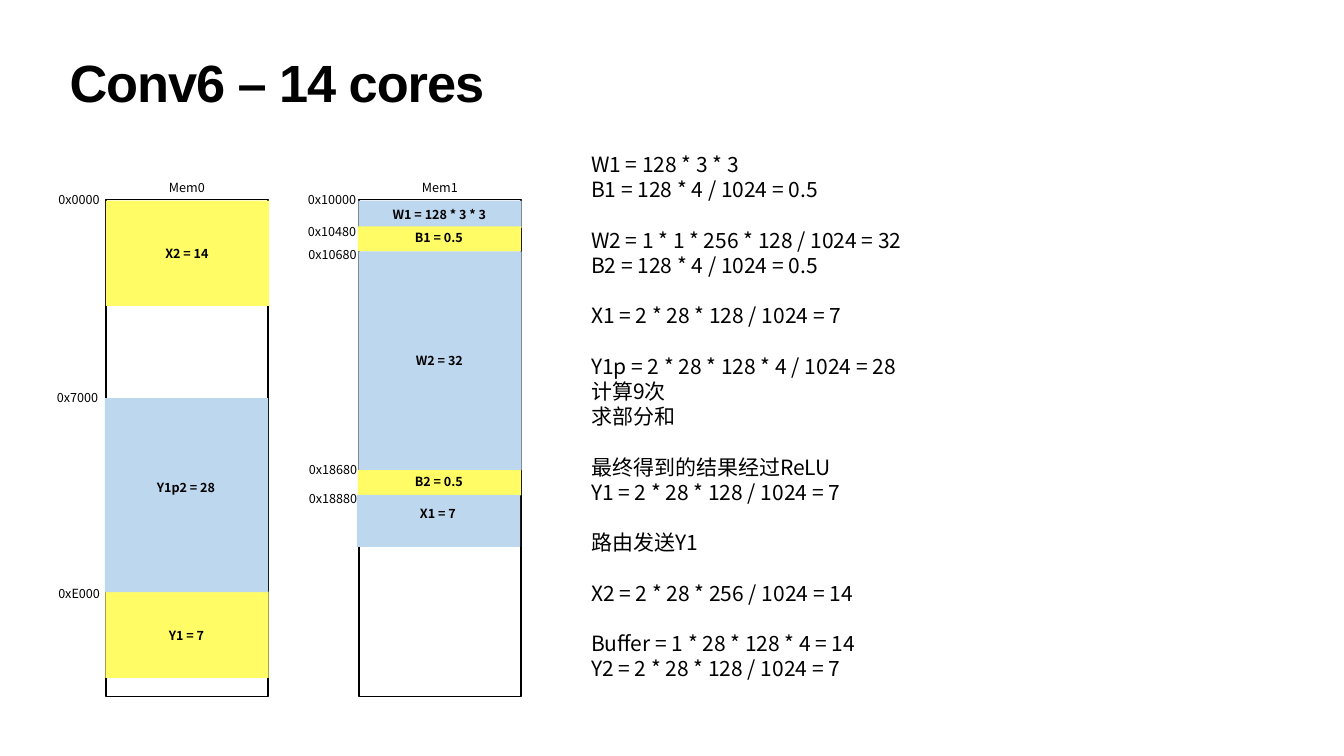
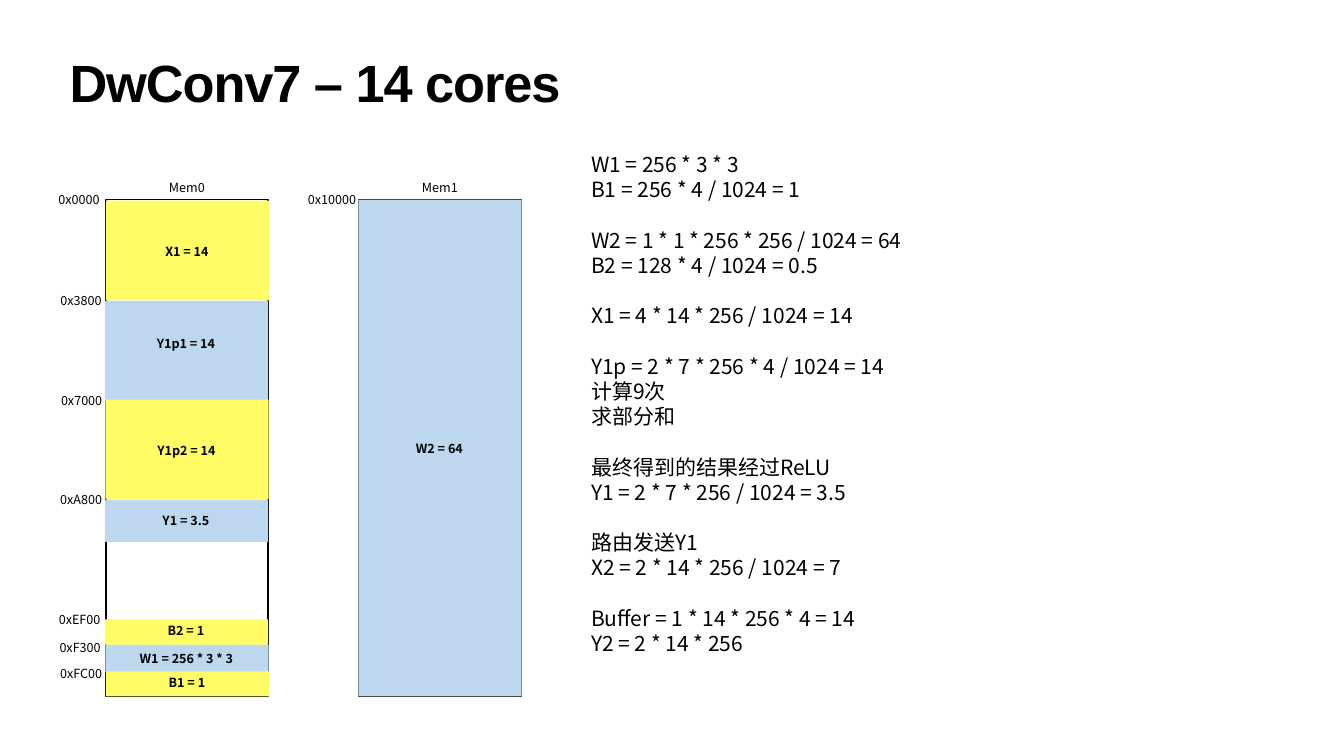
"""Builds two slides on the memory layout of convolution layers across 14 cores."""
from lxml.etree import SubElement
from pptx import Presentation
from pptx.dml.color import RGBColor
from pptx.enum.shapes import MSO_SHAPE
from pptx.enum.text import MSO_ANCHOR, PP_ALIGN
from pptx.oxml.ns import qn
from pptx.util import Inches, Pt

COLORS = {"ink": "000000", "blue": "BDD7EE", "yellow": "FFFC66"}
SHARE = {"blue": 0.5, "yellow": 0.93}
CJK = "Noto Sans CJK SC"


def write(shapes, groups, box, size=18, font=CJK, bold=False, align=PP_ALIGN.CENTER,
          anchor=MSO_ANCHOR.TOP, inset=0.05, space=None, track=None):
    """Adds a text box; each group of lines is set off by one line of space."""
    frame = shapes.add_textbox(*map(Inches, box)).text_frame
    frame.word_wrap = True
    frame.vertical_anchor = anchor
    frame.margin_left = frame.margin_right = Inches(inset)
    frame.margin_top = frame.margin_bottom = Inches(inset)
    for g, lines in enumerate(groups):
        for i, line in enumerate(lines):
            para = frame.paragraphs[0] if g + i == 0 else frame.add_paragraph()
            para.alignment = align
            para.line_spacing = space or Pt(size * 1.2)
            if g and i == 0:
                para.space_before = Pt(size * 1.2)
            run = para.add_run()
            run.text = line
            run.font.name = font
            run.font.size = Pt(size)
            run.font.bold = bold
            run.font.color.rgb = RGBColor.from_string(COLORS["ink"])
            props = run.font._element
            SubElement(props, qn("a:ea")).set("typeface", font)
            if track:
                props.set("spc", str(track))


def draw(shapes, box, fill=None):
    """Adds a filled block, or an outlined frame when no fill is given."""
    rect = shapes.add_shape(MSO_SHAPE.RECTANGLE, *map(Inches, box))
    rect.shadow.inherit = False
    if fill:
        rect.fill.solid()
        rect.fill.fore_color.rgb = RGBColor.from_string(COLORS[fill])
        rect.line.fill.background()
    else:
        rect.fill.background()
        rect.line.color.rgb = RGBColor.from_string(COLORS["ink"])
        rect.line.width = Pt(2.25)


PAGES = [
    {
        "title": "Conv6 – 14 cores",
        "notes": [
            ["W1 = 128 * 3 * 3", "B1 = 128 * 4 / 1024 = 0.5"],
            ["W2 = 1 * 1 * 256 * 128 / 1024 = 32", "B2 = 128 * 4 / 1024 = 0.5"],
            ["X1 = 2 * 28 * 128 / 1024 = 7"],
            ["Y1p = 2 * 28 * 128 * 4 / 1024 = 28", "计算9次", "求部分和"],
            ["最终得到的结果经过ReLU", "Y1 = 2 * 28 * 128 / 1024 = 7"],
            ["路由发送Y1"],
            ["X2 = 2 * 28 * 256 / 1024 = 14"],
            ["Buffer = 1 * 28 * 128 * 4 = 14", "Y2 = 2 * 28 * 128 / 1024 = 7"],
        ],
        "height": 10.7,
        "blocks": [
            ("W1 = 128 * 3 * 3", "blue", 7.11, 3.98, 0.54, 0),
            ("B1 = 0.5", "yellow", 7.1, 4.49, 0.5, -0.03),
            ("X2 = 14", "yellow", 2.1, 3.98, 2.09, 0.01),
            ("W2 = 32", "blue", 7.11, 4.99, 4.34, 0),
            ("B2 = 0.5", "yellow", 7.1, 9.33, 0.5, -0.03),
            ("Y1 = 7", "yellow", 2.09, 11.74, 1.71, 0.01),
            ("Y1p2 = 28", "blue", 2.08, 7.9, 3.85, -0.15),
            ("X1 = 7", "blue", 7.08, 9.82, 1.03, -0.15),
        ],
        "marks": [
            ("0x10480", 6.04, 4.39), ("0x10680", 6.05, 4.86),
            ("0x18680", 6.06, 9.12), ("0x18880", 6.06, 9.69),
            ("0x7000", 0.99, 7.68), ("0xE000", 1.02, 11.58),
        ],
    },
    {
        "title": "DwConv7 – 14 cores",
        "notes": [
            ["W1 = 256 * 3 * 3", "B1 = 256 * 4 / 1024 = 1"],
            ["W2 = 1 * 1 * 256 * 256 / 1024 = 64", "B2 = 128 * 4 / 1024 = 0.5"],
            ["X1 = 4 * 14 * 256 / 1024 = 14"],
            ["Y1p = 2 * 7 * 256 * 4 / 1024 = 14", "计算9次", "求部分和"],
            ["最终得到的结果经过ReLU", "Y1 = 2 * 7 * 256 / 1024 = 3.5"],
            ["路由发送Y1", "X2 = 2 * 14 * 256 / 1024 = 7"],
            ["Buffer = 1 * 14 * 256 * 4 = 14", "Y2 = 2 * 14 * 256"],
        ],
        "height": 10.2,
        "blocks": [
            ("W1 = 256 * 3 * 3", "blue", 2.09, 12.79, 0.54, 0),
            ("B1 = 1", "yellow", 2.1, 13.32, 0.5, -0.03),
            ("X1 = 14", "yellow", 2.1, 3.98, 1.98, 0.01),
            ("W2 = 64", "blue", 7.11, 3.96, 9.86, 0),
            ("B2 = 1", "yellow", 2.08, 12.29, 0.5, -0.03),
            ("Y1p1 = 14", "blue", 2.08, 5.97, 1.98, -0.15),
            ("Y1 = 3.5", "blue", 2.08, 9.92, 0.83, 0),
            ("Y1p2 = 14", "yellow", 2.09, 7.93, 1.98, 0.01),
        ],
        "marks": [
            ("0x3800", 1.06, 5.76), ("0x7000", 1.07, 7.74), ("0xA800", 1.06, 9.71),
            ("0xEF00", 1.03, 12.09), ("0xF300", 1.04, 12.64), ("0xFC00", 1.06, 13.17),
        ],
    },
]
BANKS = [("Mem1", 7.12, "0x10000", 6.04), ("Mem0", 2.1, "0x0000", 1.02)]

deck = Presentation()
deck.slide_width, deck.slide_height = Inches(26.67), Inches(15)

for page in PAGES:
    shapes = deck.slides.add_slide(deck.slide_layouts[6]).shapes
    write(shapes, [[page["title"]]], (1.32, 1.18, 24.03, 1.57), size=74.8, font="Arial",
          bold=True, align=PP_ALIGN.LEFT, inset=0.06, space=0.8, track=-150)
    write(shapes, page["notes"], (11.68, 2.96, 13.3, page["height"]), size=30,
          align=PP_ALIGN.LEFT)

    for bank, left, start, edge in BANKS:
        write(shapes, [[bank]], (left + 1.06, 3.53, 1.1, 0.4))
        draw(shapes, (left, 3.96, 3.22, 9.86))
        write(shapes, [[start]], (edge, 3.75, 1.1, 0.4))

    for label, fill, left, top, height, shift in page["blocks"]:
        parts = shapes.add_group_shape().shapes
        draw(parts, (left, top, 3.24, height), fill)
        tall = height * SHARE[fill]
        write(parts, [[label]], (left + 0.08, top + (height - tall) / 2 + shift, 3.06, tall),
              bold=True, anchor=MSO_ANCHOR.MIDDLE)

    for mark, left, top in page["marks"]:
        write(shapes, [[mark]], (left, top, 1.1, 0.4))

deck.save("out.pptx")
